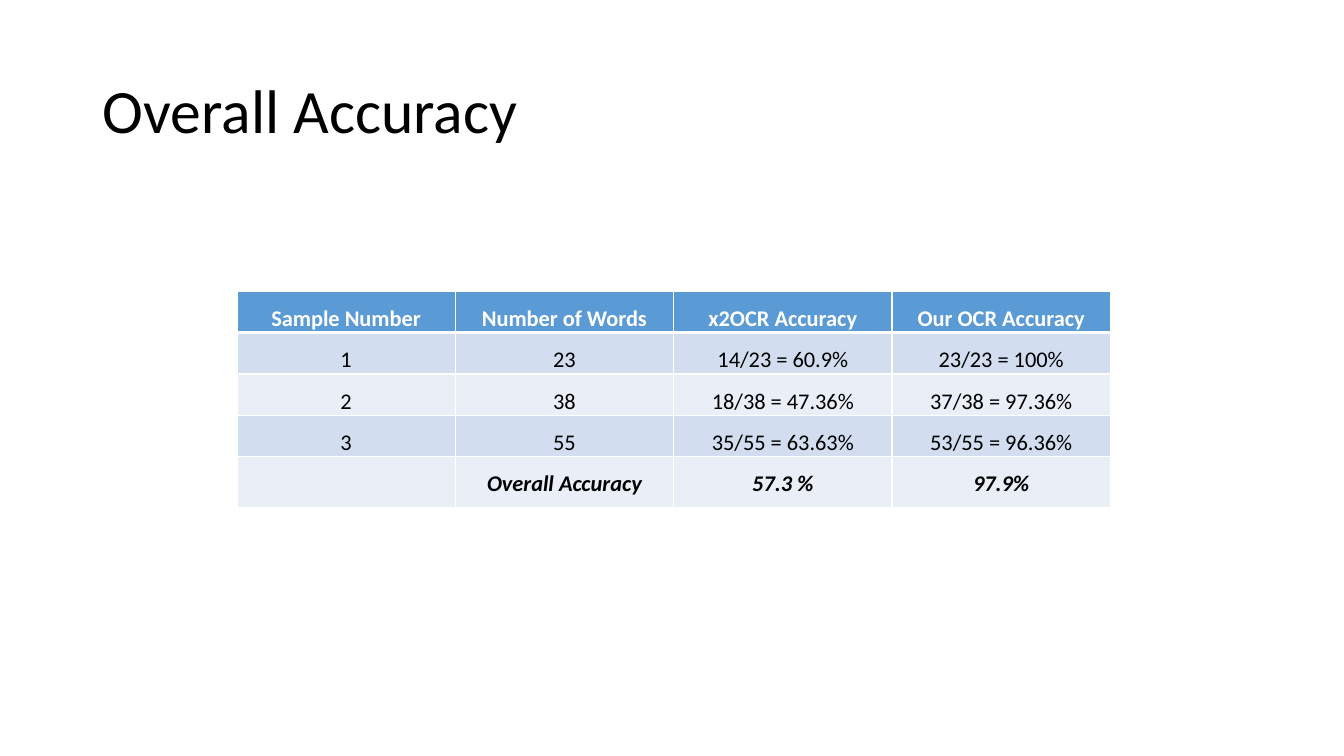
from dataclasses import dataclass

from lxml.etree import SubElement
from pptx import Presentation
from pptx.dml.color import RGBColor
from pptx.enum.text import MSO_ANCHOR as Anchor, PP_ALIGN as Align
from pptx.oxml.ns import qn
from pptx.util import Inches, Pt

WHITE = RGBColor(0xFF, 0xFF, 0xFF)
BLACK = RGBColor(0x00, 0x00, 0x00)
HEADER_BLUE = RGBColor(0x5B, 0x9B, 0xD5)
BAND_DARK = RGBColor(0xD2, 0xDE, 0xEF)
BAND_LIGHT = RGBColor(0xEA, 0xEF, 0xF7)

WIDTH, HEIGHT = Inches(13.33), Inches(7.5)
COLUMN, ROW, LAST_ROW = 16.25, 5.47, 6.67  # percent of the slide


@dataclass(frozen=True)
class Result:
    texts: tuple[str, str, str, str]
    fill: RGBColor
    ink: RGBColor = BLACK
    bold: bool = False
    italic: bool = False
    height: float = ROW
    rule_above: float = 1
    rule_below: float = 1


RESULTS = (
    Result(("Sample Number", "Number of Words", "x2OCR Accuracy", "Our OCR Accuracy"),
           HEADER_BLUE, ink=WHITE, bold=True, rule_below=3),
    Result(("1", "23", "14/23 = 60.9%", "23/23 = 100%"), BAND_DARK, rule_above=3),
    Result(("2", "38", "18/38 = 47.36%", "37/38 = 97.36%"), BAND_LIGHT),
    Result(("3", "55", "35/55 = 63.63%", "53/55 = 96.36%"), BAND_DARK),
    Result(("", "Overall Accuracy", "57.3 %", "97.9%"), BAND_LIGHT,
           bold=True, italic=True, height=LAST_ROW),
)


def across(percent: float) -> int:
    return round(WIDTH * percent / 100)


def down(percent: float) -> int:
    return round(HEIGHT * percent / 100)


def apply(target, formats: dict) -> None:
    for name, value in formats.items():
        setattr(target, name, value)


def draw_borders(cell, result: Result) -> None:
    widths = {"a:lnL": 1, "a:lnR": 1, "a:lnT": result.rule_above, "a:lnB": result.rule_below}
    properties = cell._tc.get_or_add_tcPr()
    for place, (tag, points) in enumerate(widths.items()):
        border = SubElement(properties, qn(tag), w=str(Pt(points)))
        color = SubElement(SubElement(border, qn("a:solidFill")), qn("a:srgbClr"))
        color.set("val", str(WHITE))
        properties.insert(place, border)


def draw_cell(cell, text: str, result: Result) -> None:
    apply(cell, {"margin_left": Inches(0.07), "margin_right": Inches(0.07),
                 "margin_top": 0, "margin_bottom": 0})
    cell.fill.solid()
    cell.fill.fore_color.rgb = result.fill
    draw_borders(cell, result)
    line = cell.text_frame.paragraphs[0]
    apply(line, {"alignment": Align.CENTER, "line_spacing": 1.5, "space_after": Pt(10)})
    if text:
        line.text = text
    apply(line.font, {"size": Pt(16), "name": "Calibri",
                      "bold": result.bold, "italic": result.italic})
    line.font.color.rgb = result.ink


def draw_title(slide, text: str) -> None:
    title = slide.shapes.title
    apply(title, {"left": across(6.9), "top": down(5.33),
                  "width": across(86.27), "height": down(19.33)})
    title.text_frame.text = text
    title.text_frame.vertical_anchor = Anchor.MIDDLE
    line = title.text_frame.paragraphs[0]
    apply(line, {"alignment": Align.LEFT, "line_spacing": 0.9})
    apply(line.font, {"size": Pt(44), "name": "Calibri"})
    line.font.color.rgb = BLACK


def draw_accuracy_table(slide, results: tuple[Result, ...]) -> None:
    columns = len(results[0].texts)
    accuracy = slide.shapes.add_table(
        len(results), columns, across(17.63), down(38.53),
        across(COLUMN * columns), down(sum(result.height for result in results))).table
    for row, result in zip(accuracy.rows, results):
        row.height = down(result.height)
        for cell, text in zip(row.cells, result.texts):
            draw_cell(cell, text, result)


def main() -> None:
    deck = Presentation()
    apply(deck, {"slide_width": WIDTH, "slide_height": HEIGHT})
    slide = deck.slides.add_slide(deck.slide_layouts.get_by_name("Title Only"))
    draw_accuracy_table(slide, RESULTS)
    draw_title(slide, "Overall Accuracy")
    deck.save("out.pptx")


if __name__ == "__main__":
    main()
